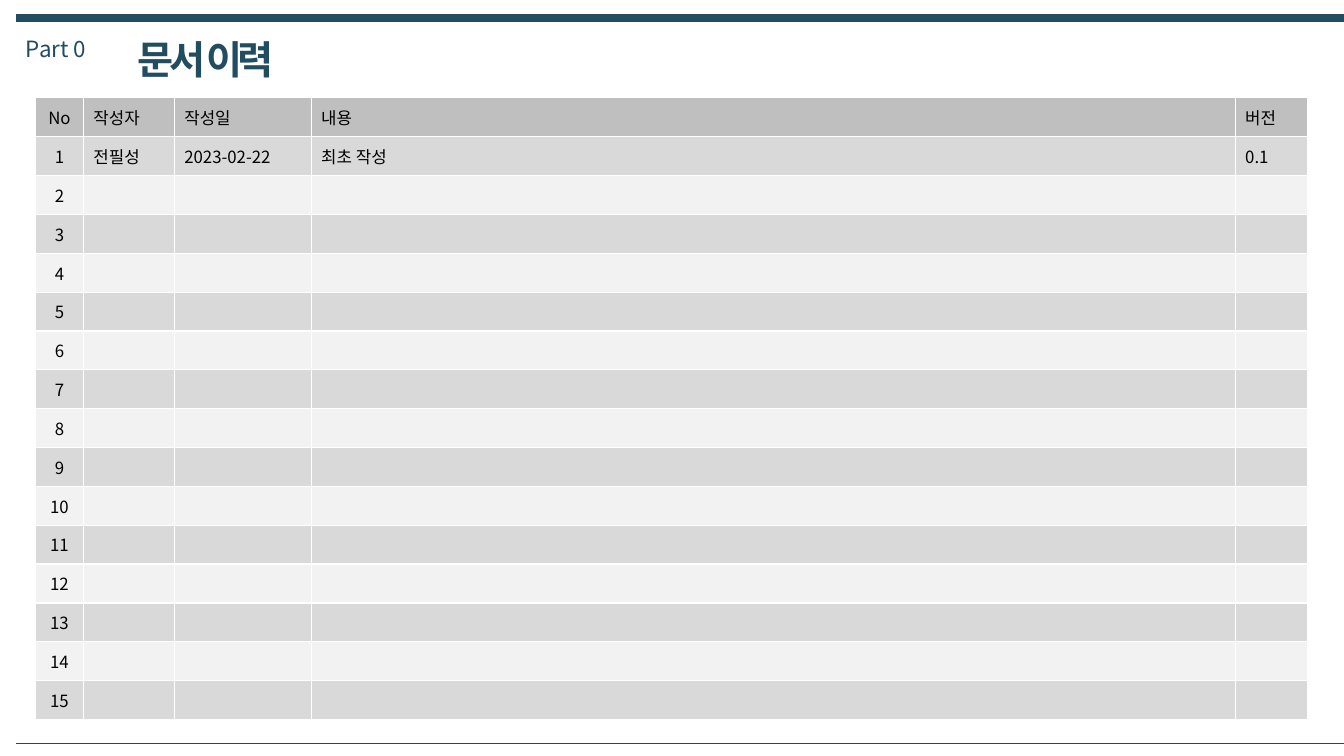
"""Build the document history slide with its revision table."""
from dataclasses import dataclass

from lxml.etree import SubElement
from pptx import Presentation
from pptx.dml.color import RGBColor
from pptx.enum.shapes import MSO_CONNECTOR
from pptx.enum.text import MSO_ANCHOR, MSO_AUTO_SIZE, PP_ALIGN
from pptx.oxml.ns import qn
from pptx.slide import Slide
from pptx.table import _Cell
from pptx.text.text import _Paragraph
from pptx.util import Pt

FONT = "Noto Sans CJK KR"
TEAL = "224D60"
BLACK = "000000"
WHITE = "FFFFFF"
HEADER_FILL = "BFBFBF"
BAND_FILLS = ("F2F2F2", "D9D9D9")
CELL_SIZE = 12
COLUMN_WIDTHS = (34.2, 64.9, 97.8, 660, 51.7)
ROW_HEIGHT = 27.77
REVISION_COUNT = 15
HEADER = ("No", "작성자", "작성일", "내용", "버전")
REVISIONS = {1: ("전필성", "2023-02-22", "최초 작성", "0.1")}
BLANK_REVISION = ("",) * (len(HEADER) - 1)


@dataclass(frozen=True)
class Rule:
    top: float
    weight: float


@dataclass(frozen=True)
class Heading:
    text: str
    left: float
    width: float
    height: float
    size: float
    bold: bool = False
    spacing: int = 0


RULES = (Rule(12.8, 6), Rule(530.8, 0.25))
HEADINGS = (
    Heading("Part 0", 11.5, 69.8, 26.6, 16),
    Heading("문서 이력", 91.4, 116, 41, 28, bold=True, spacing=-300),
)


def color(value: str) -> RGBColor:
    return RGBColor.from_string(value)


def apply_format(target: object, values: dict) -> None:
    for name, value in values.items():
        setattr(target, name, value)


def add_text(paragraph: _Paragraph, text: str, size: float, ink: str,
             bold: bool = False, spacing: int = 0) -> None:
    run = paragraph.add_run()
    run.text = text
    apply_format(run.font, {"name": FONT, "size": Pt(size), "bold": bold})
    run.font.color.rgb = color(ink)
    properties = run.font._element
    SubElement(properties, qn("a:ea"), typeface=FONT)
    if spacing:
        properties.set("spc", str(spacing))


def draw_rule(slide: Slide, rule: Rule) -> None:
    line = slide.shapes.add_connector(
        MSO_CONNECTOR.STRAIGHT, Pt(11.5), Pt(rule.top), Pt(961.2), Pt(rule.top))
    line.line.color.rgb = color(TEAL)
    line.line.width = Pt(rule.weight)
    SubElement(line._element.spPr, qn("a:effectLst"))


def draw_heading(slide: Slide, heading: Heading) -> None:
    box = slide.shapes.add_textbox(
        Pt(heading.left), Pt(21.6), Pt(heading.width), Pt(heading.height))
    apply_format(box.text_frame, {
        "word_wrap": False, "auto_size": MSO_AUTO_SIZE.SHAPE_TO_FIT_TEXT})
    add_text(box.text_frame.paragraphs[0], heading.text, heading.size, TEAL,
             heading.bold, heading.spacing)


def add_borders(cell: _Cell) -> None:
    properties = cell._tc.get_or_add_tcPr()
    for side in ("lnL", "lnR", "lnT", "lnB"):
        border = SubElement(properties, qn(f"a:{side}"), w=str(Pt(1)))
        fill = SubElement(border, qn("a:solidFill"))
        SubElement(fill, qn("a:srgbClr"), val=WHITE)


def fill_cell(cell: _Cell, text: str, background: str, centered: bool) -> None:
    add_borders(cell)
    cell.fill.solid()
    cell.fill.fore_color.rgb = color(background)
    cell.vertical_anchor = MSO_ANCHOR.MIDDLE
    paragraph = cell.text_frame.paragraphs[0]
    paragraph.alignment = PP_ALIGN.CENTER if centered else PP_ALIGN.LEFT
    if text:
        add_text(paragraph, text, CELL_SIZE, BLACK)
    else:
        SubElement(paragraph._p, qn("a:endParaRPr"), sz=str(CELL_SIZE * 100))


def draw_history(slide: Slide) -> None:
    rows = [HEADER] + [(str(number), *REVISIONS.get(number, BLANK_REVISION))
                       for number in range(1, REVISION_COUNT + 1)]
    table = slide.shapes.add_table(
        len(rows), len(HEADER), Pt(25.4), Pt(69.9),
        Pt(sum(COLUMN_WIDTHS)), Pt(ROW_HEIGHT * len(rows))).table
    apply_format(table, {"first_row": False, "horz_banding": False})
    for column, width in zip(table.columns, COLUMN_WIDTHS):
        column.width = Pt(width)
    for row_index, values in enumerate(rows):
        table.rows[row_index].height = Pt(ROW_HEIGHT)
        background = BAND_FILLS[row_index % 2] if row_index else HEADER_FILL
        for column_index, text in enumerate(values):
            fill_cell(table.cell(row_index, column_index), text, background,
                      centered=column_index == 0)


def main() -> None:
    presentation = Presentation()
    apply_format(presentation, {"slide_width": Pt(960), "slide_height": Pt(540)})
    slide = presentation.slides.add_slide(presentation.slide_layouts[6])
    for rule in RULES:
        draw_rule(slide, rule)
    for heading in HEADINGS:
        draw_heading(slide, heading)
    draw_history(slide)
    presentation.save("out.pptx")


if __name__ == "__main__":
    main()
